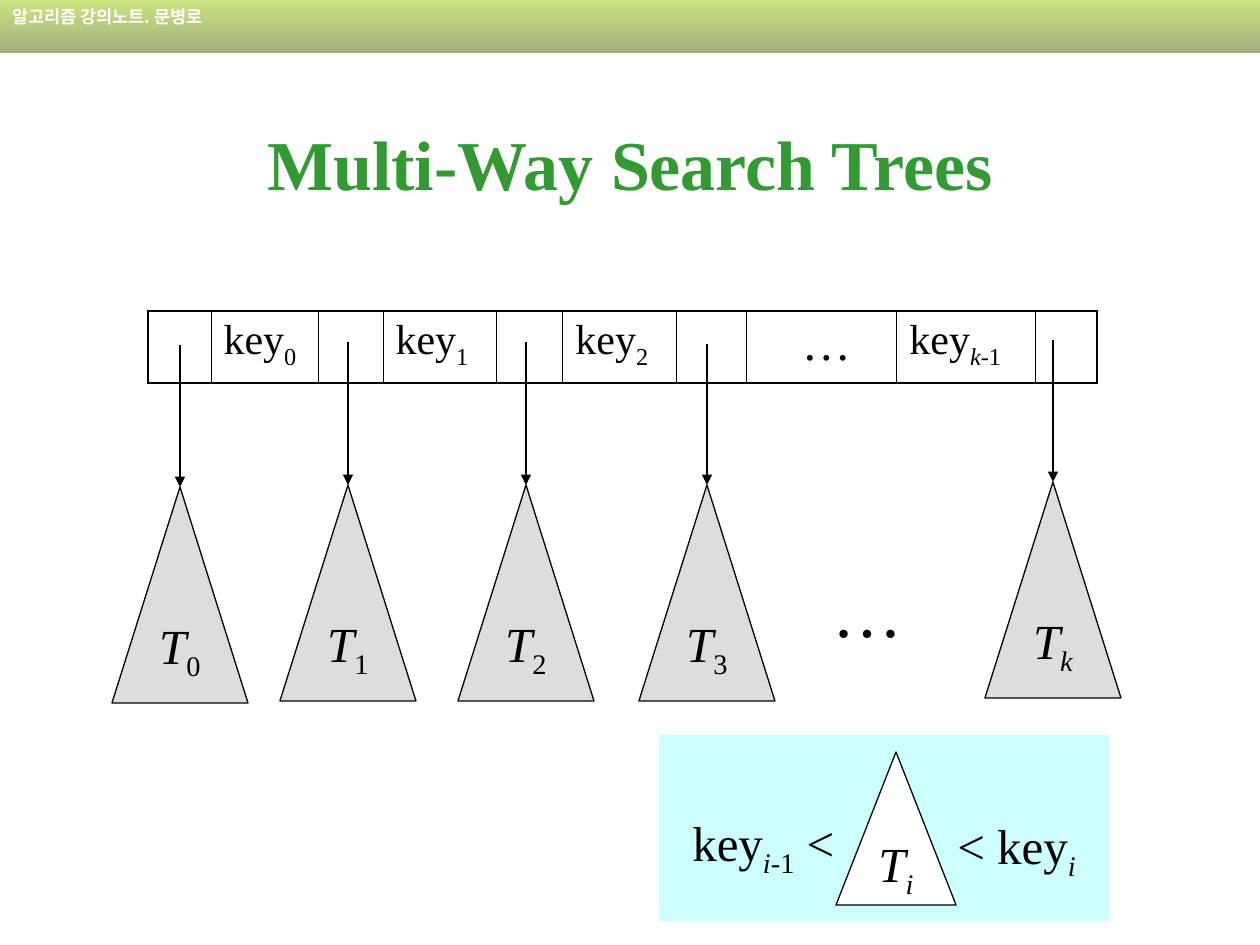
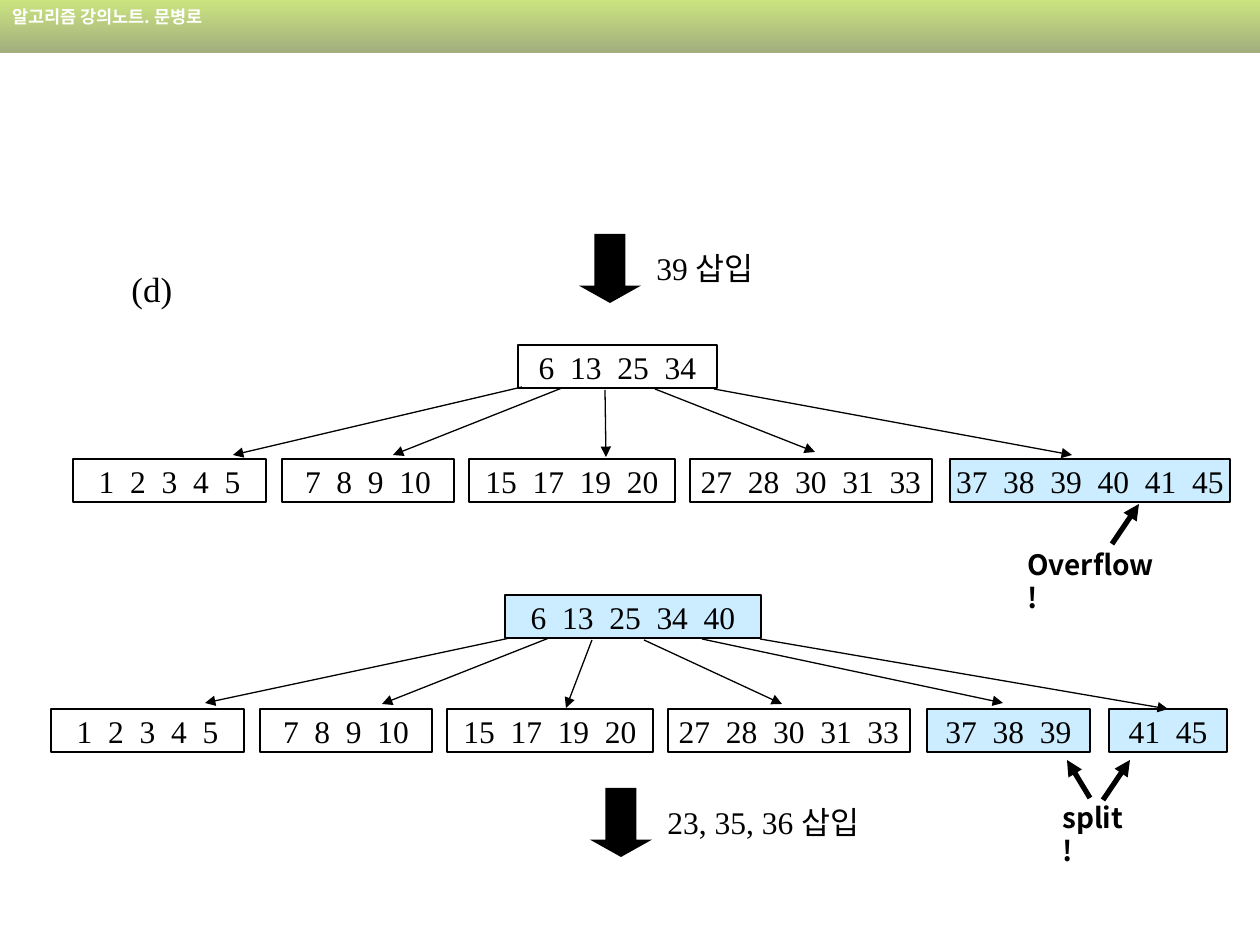
"""Build two lecture slides on multi-way search trees and B-tree insertion."""
from dataclasses import dataclass
from typing import NamedTuple, Optional

from lxml.etree import SubElement
from pptx import Presentation
from pptx.dml.color import RGBColor
from pptx.enum.shapes import MSO_AUTO_SHAPE_TYPE as Preset, MSO_CONNECTOR_TYPE as Connector
from pptx.enum.text import MSO_ANCHOR as Anchor, PP_ALIGN as Align
from pptx.oxml.ns import qn
from pptx.shapes.autoshape import Shape
from pptx.slide import Slide
from pptx.text.text import TextFrame
from pptx.util import Pt

EMU_PER_PX = 914400 / 126
TOP_SIDE = 0


@dataclass(frozen=True)
class Theme:
    """Hold the colours, fonts and type sizes of the deck."""
    ink: str = "000000"
    paper: str = "FFFFFF"
    title: str = "339933"
    band: tuple[str, str] = ("99CC00", "475E00")
    subtree: str = "DDDDDD"
    rule_panel: str = "CCFFFF"
    changed: str = "CCECFF"
    serif: str = "Times New Roman"
    sans: str = "Noto Sans CJK KR"
    band_size: int = 10
    note_size: int = 16
    node_size: int = 18
    part_size: int = 20
    key_size: int = 24
    tree_size: int = 28
    title_size: int = 40
    thin: float = 0.75
    thick: float = 3
    cell_inner: float = 0.45
    cell_outer: float = 1.08


THEME = Theme()


class Box(NamedTuple):
    left: int
    top: int
    width: int
    height: int


class Span(NamedTuple):
    text: str
    italic: bool = False
    subscript: bool = False


@dataclass(frozen=True)
class Style:
    size: int
    font: str = THEME.serif
    color: str = THEME.ink
    bold: bool = False


class Subtree(NamedTuple):
    index: Span
    left: int
    top: int
    pointer_top: int


class Node(NamedTuple):
    keys: tuple[int, ...]
    left: int
    width: int
    changed: bool = False


class Line(NamedTuple):
    start_x: int
    start_y: int
    end_x: int
    end_y: int


class BTree(NamedTuple):
    root: Node
    top: int
    leaves: tuple[Node, ...]
    pointers: tuple[Line, ...]


class Insertion(NamedTuple):
    text: str
    arrow_left: int
    arrow_top: int


TREE_STYLE = Style(THEME.tree_size)
NODE_STYLE = Style(THEME.node_size)
NOTE_STYLE = Style(THEME.note_size, THEME.sans, bold=True)

SUBTREES = (
    Subtree(Span("0", False, True), 112, 487, 345),
    Subtree(Span("1", False, True), 280, 485, 342),
    Subtree(Span("2", False, True), 458, 485, 342),
    Subtree(Span("3", False, True), 639, 485, 344),
    Subtree(Span("k", True, True), 985, 482, 340),
)
NODE_COLUMNS = (63, 107, 65, 113, 67, 114, 70, 150, 139, 61)
KEY_CELLS = {
    1: (Span("0", False, True),),
    3: (Span("1", False, True),),
    5: (Span("2", False, True),),
    8: (Span("k-", True, True), Span("1", False, True)),
}
ELLIPSIS_CELL = 7

KEPT_LEAVES = (
    Node((1, 2, 3, 4, 5), 73, 193),
    Node((7, 8, 9, 10), 282, 172),
    Node((15, 17, 19, 20), 469, 206),
    Node((27, 28, 30, 31, 33), 690, 242),
)
SPLIT_SHIFT = -22
OVERFLOWING = BTree(
    Node((6, 13, 25, 34), 518, 199), 345,
    KEPT_LEAVES + (Node((37, 38, 39, 40, 41, 45), 950, 280, True),),
    (Line(522, 387, 233, 455), Line(562, 388, 393, 455), Line(605, 390, 606, 457),
     Line(655, 389, 815, 452), Line(714, 389, 1072, 455)),
)
SPLIT = BTree(
    Node((6, 13, 25, 34, 40), 505, 256, True), 595,
    tuple(leaf._replace(left=leaf.left + SPLIT_SHIFT) for leaf in KEPT_LEAVES)
    + (Node((37, 38, 39), 927, 163, True), Node((41, 45), 1109, 118, True)),
    (Line(510, 638, 205, 703), Line(549, 638, 382, 704), Line(592, 640, 566, 708),
     Line(644, 640, 782, 704), Line(702, 639, 1003, 703), Line(760, 639, 1168, 709)),
)
INSERTIONS = (Insertion("39 삽입", 579, 234), Insertion("23, 35, 36 삽입", 590, 788))
NOTES = (("Overflow!", Box(1015, 541, 155, 46)), ("split!", Box(1050, 794, 92, 46)))
NOTE_ARROWS = (Line(1112, 544, 1139, 504), Line(1103, 800, 1130, 760), Line(1090, 798, 1067, 760))


def px(length: int) -> int:
    """Turn pixels into EMU."""
    return round(length * EMU_PER_PX)


def emu(box: Box) -> list[int]:
    """Turn a box in pixels into EMU lengths."""
    return [px(length) for length in box]


def write(frame: TextFrame, spans: tuple[Span, ...], style: Style,
          align: Align = Align.LEFT, space_before: int = 0) -> None:
    """Write spans as runs of the first paragraph."""
    paragraph = frame.paragraphs[0]
    paragraph.alignment = align
    paragraph.space_before = Pt(space_before)
    for span in spans:
        run = paragraph.add_run()
        run.text = span.text
        font = run.font
        font.size, font.name = Pt(style.size), style.font
        font.bold, font.italic = style.bold, span.italic
        font.color.rgb = RGBColor.from_string(style.color)
        properties = run._r.get_or_add_rPr()
        SubElement(properties, qn("a:ea"), typeface=THEME.sans)
        if span.subscript:
            properties.set("baseline", "-25000")


def draw_shape(slide: Slide, preset: Preset, box: Box, fill: Optional[str] = None,
               outlined: bool = True, spans: tuple[Span, ...] = (),
               style: Style = NODE_STYLE) -> Shape:
    """Draw a preset shape with centred text."""
    shape = slide.shapes.add_shape(preset, *emu(box))
    shape.shadow.inherit = False
    if fill:
        shape.fill.solid()
        shape.fill.fore_color.rgb = RGBColor.from_string(fill)
    else:
        shape.fill.background()
    if outlined:
        shape.line.color.rgb = RGBColor.from_string(THEME.ink)
        shape.line.width = Pt(THEME.thin)
    else:
        shape.line.fill.background()
    frame = shape.text_frame
    frame.word_wrap = False
    frame.vertical_anchor = Anchor.MIDDLE
    write(frame, spans, style, Align.CENTER)
    return shape


def draw_text(slide: Slide, box: Box, spans: tuple[Span, ...], style: Style,
              align: Align = Align.LEFT, anchor: Anchor = Anchor.TOP) -> None:
    """Draw a text box of fixed width."""
    frame = slide.shapes.add_textbox(*emu(box)).text_frame
    frame.word_wrap = True
    frame.vertical_anchor = anchor
    write(frame, spans, style, align)


def draw_arrow(slide: Slide, line: Line, width: float = THEME.thin,
               target: Optional[Shape] = None) -> None:
    """Draw an arrow, joined to the top of the target if there is one."""
    connector = slide.shapes.add_connector(Connector.STRAIGHT, *(px(value) for value in line))
    connector.line.color.rgb = RGBColor.from_string(THEME.ink)
    connector.line.width = Pt(width)
    properties = connector._element.spPr
    SubElement(properties.find(qn("a:ln")), qn("a:tailEnd"), type="triangle")
    SubElement(properties, qn("a:effectLst"))
    if target is not None:
        connector.end_connect(target, TOP_SIDE)


def add_slide(presentation: Presentation) -> Slide:
    """Add a blank slide with the header band."""
    slide = presentation.slides.add_slide(presentation.slide_layouts[6])
    band = draw_shape(slide, Preset.RECTANGLE, Box(0, 0, 1260, 53), outlined=False)
    band.fill.gradient()
    band.fill.gradient_angle = 270
    for stop, color in zip(band.fill.gradient_stops, THEME.band):
        stop.color.rgb = RGBColor.from_string(color)
    for color_element in band._element.spPr.iter(qn("a:srgbClr")):
        SubElement(color_element, qn("a:alpha"), val="50000")
    band.text_frame.vertical_anchor = Anchor.TOP
    write(band.text_frame, (Span("알고리즘 강의노트. 문병로"),),
          Style(THEME.band_size, THEME.sans, THEME.paper, True))
    return slide


def draw_key_table(slide: Slide) -> None:
    """Draw the node as a row of pointer and key cells."""
    last = len(NODE_COLUMNS) - 1
    box = Box(148, 311, sum(NODE_COLUMNS), 72)
    table = slide.shapes.add_table(1, last + 1, *emu(box)).table
    table.first_row = table.horz_banding = False
    table.rows[0].height = px(box.height)
    for index, width in enumerate(NODE_COLUMNS):
        table.columns[index].width = px(width)
        cell = table.cell(0, index)
        outer_sides = {"T", "B"} | ({"L"} if index == 0 else set()) | ({"R"} if index == last else set())
        for side in "LRTB":
            weight = THEME.cell_outer if side in outer_sides else THEME.cell_inner
            border = SubElement(cell._tc.get_or_add_tcPr(), qn(f"a:ln{side}"), w=str(Pt(weight)))
            SubElement(SubElement(border, qn("a:solidFill")), qn("a:srgbClr"), val=THEME.ink)
        cell.fill.background()
        if index in KEY_CELLS:
            write(cell.text_frame, (Span("key"), *KEY_CELLS[index]), Style(THEME.key_size), space_before=6)
        elif index == ELLIPSIS_CELL:
            cell.margin_left = px(55)
            write(cell.text_frame, (Span("…"),), TREE_STYLE, space_before=7)


def draw_search_tree(slide: Slide) -> None:
    """Draw the multi-way search tree and its ordering rule."""
    draw_text(slide, Box(94, 84, 1072, 158), (Span("Multi-Way Search Trees"),),
              Style(THEME.title_size, color=THEME.title, bold=True), Align.CENTER, Anchor.MIDDLE)
    draw_key_table(slide)
    for subtree in SUBTREES:
        box = Box(subtree.left, subtree.top, 136, 216)
        triangle = draw_shape(slide, Preset.ISOSCELES_TRIANGLE, box, THEME.subtree,
                              spans=(Span("T", True), subtree.index), style=TREE_STYLE)
        apex = box.left + box.width // 2
        draw_arrow(slide, Line(apex, subtree.pointer_top, apex, box.top), target=triangle)
    draw_text(slide, Box(820, 561, 110, 97), (Span("…"),), Style(THEME.title_size))
    draw_shape(slide, Preset.RECTANGLE, Box(659, 735, 451, 186), THEME.rule_panel, False)
    index = Span("i", True, True)
    draw_shape(slide, Preset.ISOSCELES_TRIANGLE, Box(836, 752, 120, 153), THEME.paper,
               spans=(Span("T", True), index), style=TREE_STYLE)
    draw_text(slide, Box(680, 806, 190, 79),
              (Span("key"), Span("i-", True, True), Span("1", False, True), Span(" <")), TREE_STYLE)
    draw_text(slide, Box(945, 809, 165, 79), (Span("< key"), index), TREE_STYLE)


def draw_node(slide: Slide, node: Node, top: int) -> Shape:
    """Draw a B-tree node."""
    keys = "  ".join(map(str, node.keys))
    return draw_shape(slide, Preset.RECTANGLE, Box(node.left, top, node.width, 43),
                      THEME.changed if node.changed else None, spans=(Span(keys),))


def draw_btree(slide: Slide, tree: BTree) -> None:
    """Draw a root, its leaves and the pointers between them."""
    draw_node(slide, tree.root, tree.top)
    leaf_top = tree.top + 114
    for node, pointer in zip(tree.leaves, tree.pointers):
        leaf = draw_node(slide, node, leaf_top)
        at_middle = (pointer.end_x, pointer.end_y) == (node.left + node.width // 2, leaf_top)
        draw_arrow(slide, pointer, target=leaf if at_middle else None)


def draw_insertion(slide: Slide) -> None:
    """Draw the insertion that overflows and splits a leaf."""
    draw_text(slide, Box(119, 261, 80, 55), (Span("(d)"),), Style(THEME.part_size))
    for tree in (OVERFLOWING, SPLIT):
        draw_btree(slide, tree)
    for step in INSERTIONS:
        arrow = draw_shape(slide, Preset.DOWN_ARROW, Box(step.arrow_left, step.arrow_top, 62, 69),
                           THEME.ink, False)
        arrow.adjustments[1] = 0.28
        draw_text(slide, Box(step.arrow_left + 65, step.arrow_top + 9, 260, 50),
                  (Span(step.text),), NODE_STYLE)
    for text, box in NOTES:
        draw_text(slide, box, (Span(text),), NOTE_STYLE)
    for line in NOTE_ARROWS:
        draw_arrow(slide, line, THEME.thick)


def main() -> None:
    """Build and save the presentation."""
    presentation = Presentation()
    presentation.slide_width, presentation.slide_height = px(1260), px(945)
    draw_search_tree(add_slide(presentation))
    draw_insertion(add_slide(presentation))
    presentation.save("out.pptx")


if __name__ == "__main__":
    main()
